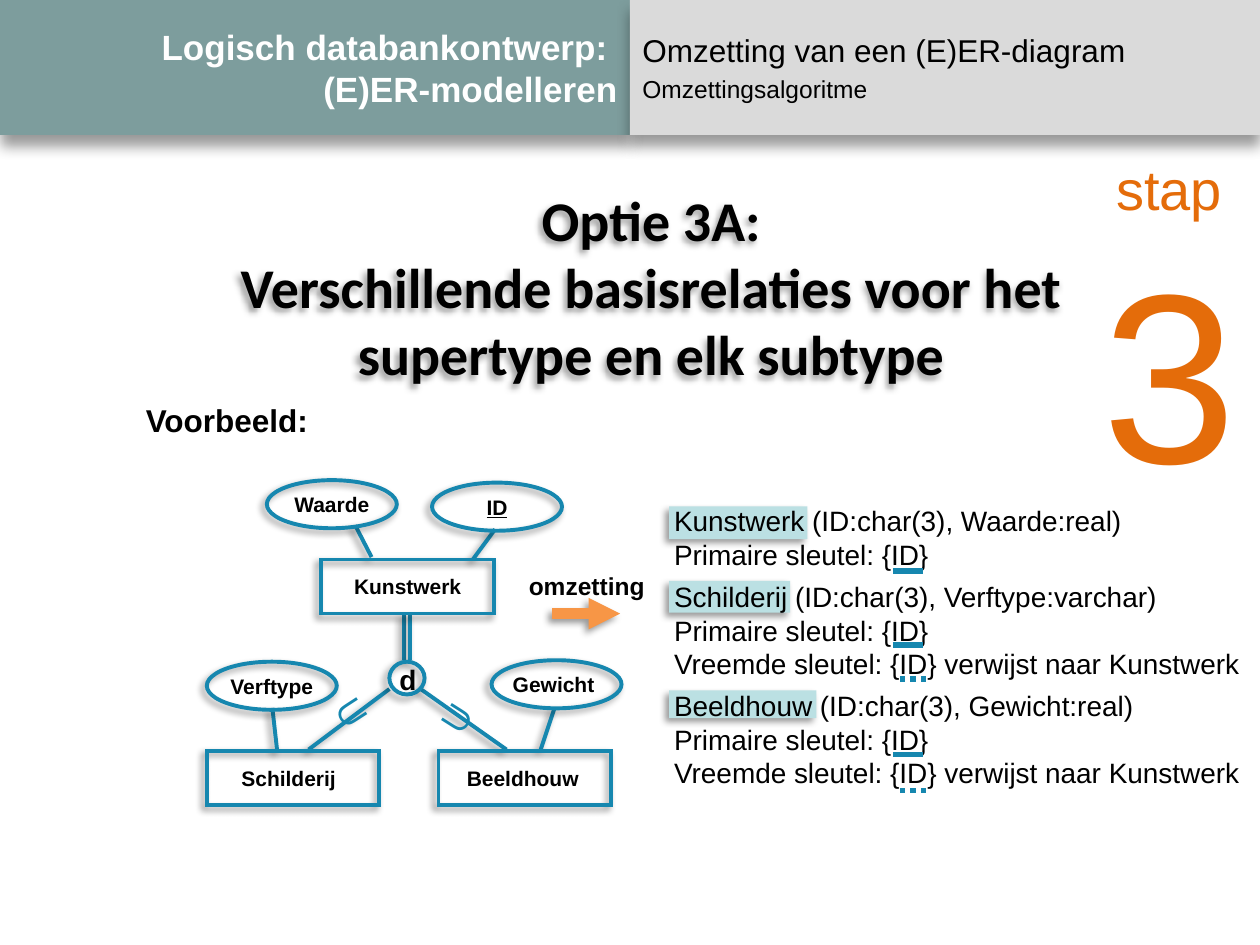
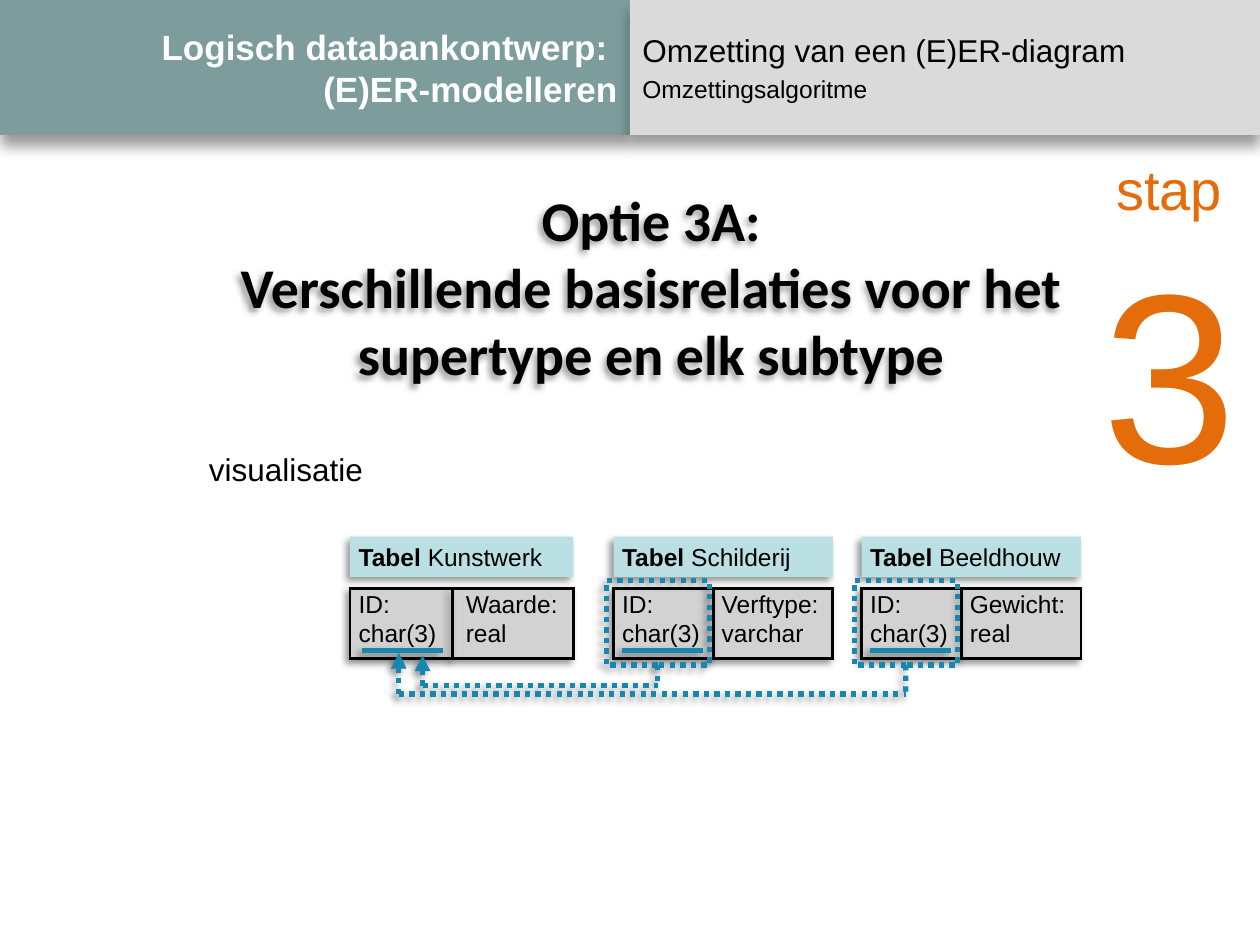
from lxml import etree
from pptx import Presentation
from pptx.dml.color import RGBColor
from pptx.enum.dml import MSO_LINE
from pptx.enum.shapes import MSO_CONNECTOR, MSO_SHAPE
from pptx.enum.text import MSO_ANCHOR, MSO_AUTO_SIZE, PP_ALIGN
from pptx.oxml.ns import qn
from pptx.util import Cm, Pt

RECT, OVAL = MSO_SHAPE.RECTANGLE, MSO_SHAPE.OVAL
STRAIGHT = MSO_CONNECTOR.STRAIGHT
DOTTED = MSO_LINE.ROUND_DOT
LEFT, CENTER, RIGHT = PP_ALIGN.LEFT, PP_ALIGN.CENTER, PP_ALIGN.RIGHT
TOP, MIDDLE = MSO_ANCHOR.TOP, MSO_ANCHOR.MIDDLE
FIT = MSO_AUTO_SIZE.SHAPE_TO_FIT_TEXT
BOTTOM_SIDE = 2

BLACK = RGBColor(0x00, 0x00, 0x00)
WHITE = RGBColor(0xFF, 0xFF, 0xFF)
TEAL = RGBColor(0x7D, 0x9D, 0x9D)
LIGHT_GREY = RGBColor(0xDA, 0xDA, 0xDA)
ROW_GREY = RGBColor(0xD2, 0xD2, 0xD2)
PALE_BLUE = RGBColor(0xBB, 0xE0, 0xE3)
BLUE = RGBColor(0x16, 0x87, 0xAF)
ORANGE = RGBColor(0xF7, 0x96, 0x46)
DARK_ORANGE = RGBColor(0xE4, 0x6C, 0x0A)

# Shadows as blur (pt), distance (pt), direction (degrees)
BAND_SHADOW = (8, 6, 90)
SOFT_SHADOW = (4, 3, 135)


def set_shadow(item, shadow):
    """Give the item this shadow, or none at all when shadow is None."""
    effects = etree.SubElement(item._element.spPr, qn("a:effectLst"))
    if shadow:
        blur, distance, direction = shadow
        outer = etree.SubElement(
            effects, qn("a:outerShdw"), blurRad=str(Pt(blur)), dist=str(Pt(distance)),
            dir=str(direction * 60000), algn="ctr", rotWithShape="0")
        color = etree.SubElement(outer, qn("a:srgbClr"), val=str(BLACK))
        etree.SubElement(color, qn("a:alpha"), val="40000")


def set_line(line, color, width, dash=None):
    """Format a line and give it sharp corners."""
    line.color.rgb = color
    line.width = Pt(width)
    if dash:
        line.dash_style = dash
    etree.SubElement(line._get_or_add_ln(), qn("a:miter"), lim="800000")


def write(frame, paragraphs, size=14, color=BLACK, font="Arial", bold=False,
          underline=False, align=LEFT, anchor=TOP, gaps=None):
    """Write paragraphs (strings, or tuples of (text, bold)).

    size may be one number or one per paragraph; gaps maps a paragraph's
    index to the space before it in points.
    """
    frame.vertical_anchor = anchor
    sizes = size if isinstance(size, tuple) else (size,) * len(paragraphs)
    for index, (content, points) in enumerate(zip(paragraphs, sizes)):
        paragraph = frame.paragraphs[0] if index == 0 else frame.add_paragraph()
        paragraph.alignment = align
        if gaps and index in gaps:
            paragraph.space_before = Pt(gaps[index])
        if isinstance(content, str):
            paragraph.text = content
            weights = [bold] * len(paragraph.runs)
        else:
            for text, _ in content:
                paragraph.add_run().text = text
            weights = [weight for _, weight in content]
        for run, weight in zip(paragraph.runs, weights):
            run.font.name = font
            run.font.size = Pt(points)
            run.font.bold = weight
            run.font.underline = underline
            run.font.color.rgb = color


def add_text(slide, left, top, width, height, paragraphs, wrap=False,
             rotation=0, shadow=None, **text_format):
    box = slide.shapes.add_textbox(Cm(left), Cm(top), Cm(width), Cm(height))
    box.rotation = rotation
    box.text_frame.word_wrap = wrap
    box.text_frame.auto_size = FIT
    write(box.text_frame, paragraphs, **text_format)
    if shadow:
        set_shadow(box, shadow)


def add_block(slide, left, top, width, height, kind=RECT, fill=None, line=None,
              shadow=SOFT_SHADOW):
    """Add a preset shape; line is (color, width) or (color, width, dash)."""
    block = slide.shapes.add_shape(kind, Cm(left), Cm(top), Cm(width), Cm(height))
    if fill is None:
        block.fill.background()
    else:
        block.fill.solid()
        block.fill.fore_color.rgb = fill
    if line is None:
        block.line.fill.background()
    else:
        set_line(block.line, *line)
    set_shadow(block, shadow)
    block.text_frame.word_wrap = True
    return block


def add_line(slide, start, end, color=BLUE, width=2.25, dash=None, arrow=False,
             shadow=SOFT_SHADOW, begin_box=None):
    """Draw a straight line; begin_box joins its start to that box's bottom."""
    connector = slide.shapes.add_connector(
        STRAIGHT, *(Cm(length) for length in (*start, *end)))
    if begin_box is not None:
        connector.begin_connect(begin_box, BOTTOM_SIDE)
    set_line(connector.line, color, width, dash)
    if arrow:
        etree.SubElement(connector.line._get_or_add_ln(), qn("a:tailEnd"),
                         type="triangle")
    set_shadow(connector, shadow)


def add_step_slide(prs):
    """Add a slide with the header, step number and title both slides share."""
    slide = prs.slides.add_slide(prs.slide_layouts[6])
    course = add_block(slide, 0, 0, 12.7, 2.72, fill=TEAL, shadow=BAND_SHADOW)
    write(course.text_frame, ["Logisch databankontwerp: \n(E)ER-modelleren"],
          size=20, color=WHITE, bold=True, align=RIGHT, anchor=MIDDLE)
    topic = add_block(slide, 12.7, 0, 12.7, 2.72, fill=LIGHT_GREY, shadow=BAND_SHADOW)
    write(topic.text_frame, ["Omzetting van een (E)ER-diagram", "Omzettingsalgoritme"],
          size=(18, 14), anchor=MIDDLE, gaps={1: 2.8})
    add_text(slide, 21.92, 3, 3.3, 7.52, ["stap", "3"], size=(32, 138),
             color=DARK_ORANGE, align=CENTER)
    add_text(slide, 4.57, 3.61, 17.12, 4.37,
             ["Optie 3A:\nVerschillende basisrelaties voor het\n"
              "supertype en elk subtype"],
             size=32, font="Calibri", bold=True, align=CENTER, shadow=SOFT_SHADOW)
    return slide


def add_node(slide, label, left, top, width, height, kind, shift=0,
             underline=False):
    """Add an outlined diagram node with a label centred on it."""
    add_block(slide, left, top, width, height, kind, line=(BLUE, 2.25))
    label_height = 0.76
    label_top = top + (height - label_height) / 2
    add_text(slide, left + shift, label_top, width, label_height, [label],
             size=12, bold=True, underline=underline, align=CENTER)


def add_entity(slide, label, left, top, shift=0):
    add_node(slide, label, left, top, 3.48, 1.09, RECT, shift=shift)


def add_attribute(slide, label, left, top, **label_format):
    add_node(slide, label, left, top, 2.62, 0.97, OVAL, **label_format)


def add_er_diagram(slide):
    for start, end in [
        ((9.53, 11.28), (9.98, 10.67)),     # Kunstwerk - ID
        ((7.49, 11.23), (7.16, 10.59)),     # Kunstwerk - Waarde
        ((8.14, 13.31), (8.14, 12.37)),     # Kunstwerk = d
        ((8.26, 13.31), (8.26, 12.37)),
        ((6.22, 15.11), (7.85, 13.89)),     # Schilderij - d
        ((10.21, 15.11), (8.48, 13.89)),    # Beeldhouw - d
        ((5.59, 15.16), (5.49, 14.27)),     # Schilderij - Verftype
        ((10.9, 15.11), (11.18, 14.27)),    # Beeldhouw - Gewicht
    ]:
        add_line(slide, start, end)
    add_entity(slide, "Kunstwerk", 6.48, 11.28)
    add_entity(slide, "Schilderij", 4.17, 15.14, shift=-0.09)
    add_entity(slide, "Beeldhouw", 8.84, 15.14, shift=-0.04)
    add_attribute(slide, "Waarde", 5.38, 9.68)
    add_attribute(slide, "ID", 8.71, 9.73, underline=True)
    add_attribute(slide, "Verftype", 4.17, 13.34)
    add_attribute(slide, "Gewicht", 9.91, 13.31, shift=-0.06)
    add_block(slide, 7.85, 13.34, 0.71, 0.66, OVAL, line=(BLUE, 2.25))
    add_text(slide, 7.8, 13.23, 0.86, 0.94, ["d"], size=16, bold=True)
    for left, top, rotation in [(8.59, 13.79, 302.3), (6.58, 13.72, 57.1)]:
        add_text(slide, left, top, 1.17, 1.27, ["∪"], rotation=rotation, size=24,
                 color=BLUE, bold=True)


def add_relations(slide):
    for top, width, height in [(10.21, 2.79, 0.66), (11.71, 2.44, 0.64),
                               (13.92, 2.97, 0.56)]:
        add_block(slide, 13.49, top, width, height, fill=PALE_BLUE)
    primary = "Primaire sleutel: {ID}"
    foreign = "Vreemde sleutel: {ID} verwijst naar Kunstwerk"
    add_text(slide, 13.34, 10.03, 12.06, 6.07, [
        "Kunstwerk (ID:char(3), Waarde:real)", primary,
        "Schilderij (ID:char(3), Verftype:varchar)", primary, foreign,
        "Beeldhouw (ID:char(3), Gewicht:real)", primary, foreign,
    ], wrap=True, size=16, gaps={2: 4.9, 5: 4.9})
    for y in (11.51, 13, 15.21):
        add_line(slide, (18, y), (18.6, y), width=3, shadow=None)
    for y in (13.69, 15.93):
        add_line(slide, (18.14, y), (18.71, y), width=3, dash=DOTTED, shadow=None)


def add_relation_table(slide, name, attribute, left, width, divider,
                       attribute_left, key_left):
    """Draw a relation: its name above a row with the key and one attribute."""
    heading = add_block(slide, left, 10.82, width, 0.81, fill=PALE_BLUE)
    heading.text_frame.margin_left = Cm(0.17)
    write(heading.text_frame, [(("Tabel ", True), (name, False))], anchor=MIDDLE)
    add_block(slide, left, 11.86, width, 1.42, fill=ROW_GREY, line=(BLACK, 1.5))
    for label_left, label in [(left - 0.08, ["ID:", "char(3)"]),
                              (attribute_left, attribute)]:
        add_text(slide, label_left, 11.75, 3, 1.45, label, wrap=True)
    add_line(slide, (left + divider, 11.86), (left + divider, 13.31),
             color=BLACK, width=1.5)
    add_line(slide, (key_left, 13.12), (key_left + 1.64, 13.12), width=3)


def add_foreign_key(slide, key_left, level, target, tip, shadow):
    """Frame a foreign key and lead a dotted arrow from it to the primary key."""
    frame = add_block(slide, key_left, 11.71, 2.08, 1.7, line=(BLUE, 3, DOTTED),
                      shadow=shadow)
    middle = key_left + 1.04
    dotted = dict(width=3, dash=DOTTED)
    add_line(slide, (middle, 13.41), (middle, level), begin_box=frame, **dotted)
    add_line(slide, (target, level), (middle, level), **dotted)
    add_line(slide, (target, level), (target, tip), arrow=True, **dotted)


def build_example(prs):
    slide = add_step_slide(prs)
    add_text(slide, 2.69, 7.95, 3.81, 1.02, ["Voorbeeld:"], size=18, bold=True)
    add_er_diagram(slide)
    add_line(slide, (11.13, 12.37), (12.5, 12.37), color=ORANGE, width=6, arrow=True)
    add_text(slide, 10.41, 11.38, 2.87, 0.86, ["omzetting"], bold=True)
    add_relations(slide)


def build_visualisation(prs):
    slide = add_step_slide(prs)
    add_text(slide, 3.96, 8.94, 3.61, 1.02, ["visualisatie"], size=18)
    add_relation_table(slide, "Kunstwerk", ["Waarde:", "real"], 7.06, 4.5, 2.06,
                       9.14, 7.29)
    add_relation_table(slide, "Schilderij", ["Verftype:", "varchar"], 12.37, 4.42, 2.01,
                       14.3, 12.53)
    add_relation_table(slide, "Beeldhouw", ["Gewicht:", "real"], 17.37, 4.42, 2.01,
                       19.3, 17.53)
    add_foreign_key(slide, 12.22, 13.82, 8.52, 13.21, SOFT_SHADOW)
    add_foreign_key(slide, 17.22, 13.99, 8.04, 13.16, None)


def main():
    prs = Presentation()
    prs.slide_width, prs.slide_height = Cm(25.4), Cm(19.05)
    build_example(prs)
    build_visualisation(prs)
    prs.save("out.pptx")


if __name__ == "__main__":
    main()
